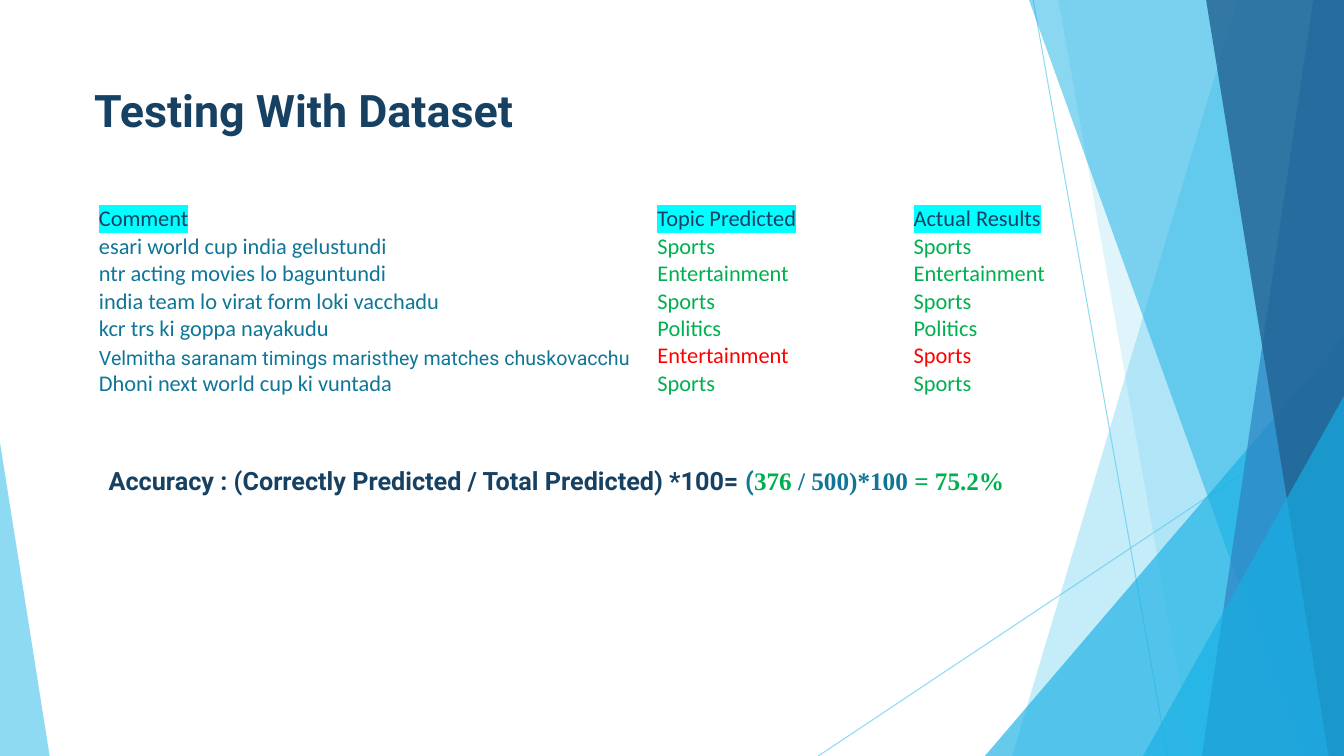
from dataclasses import dataclass

from lxml.etree import SubElement
from pptx import Presentation
from pptx.dml.color import RGBColor
from pptx.enum.shapes import MSO_CONNECTOR, MSO_SHAPE
from pptx.enum.text import MSO_ANCHOR, PP_ALIGN
from pptx.oxml.ns import qn
from pptx.util import Pt


@dataclass(frozen=True)
class Theme:
    navy: str = "174162"
    teal: str = "0F7698"
    right: str = "00B050"
    wrong: str = "FF0000"
    highlight: str = "00FFFF"
    sky: str = "5FCBEF"
    cyan: str = "17B0E4"
    blue: str = "2E83C3"
    deep: str = "226292"
    heading_font: str = "Roboto"
    table_font: str = "Calibri"
    number_font: str = "Times New Roman"
    title_size: int = 32
    formula_size: int = 18
    table_size: int = 16
    long_comment_size: int = 14


@dataclass(frozen=True)
class Box:
    left: float
    top: float
    width: float
    height: float

    @property
    def right(self):
        return self.left + self.width

    @property
    def bottom(self):
        return self.top + self.height

    def lengths(self):
        return [Pt(n) for n in (self.left, self.top, self.width, self.height)]


THEME = Theme()
NO_GRID_STYLE = "{2D5ABB26-0587-4C30-8999-92F81FD0307C}"

HEADERS = ("Comment", "Topic Predicted", "Actual Results")
RESULTS = (
    ("esari world cup india gelustundi", "Sports", "Sports"),
    ("ntr acting movies lo baguntundi", "Entertainment", "Entertainment"),
    ("india team lo virat form loki vacchadu", "Sports", "Sports"),
    ("kcr trs ki goppa nayakudu", "Politics", "Politics"),
    ("Velmitha saranam timings maristhey matches chuskovacchu", "Entertainment", "Sports"),
    ("Dhoni next world cup ki vuntada", "Sports", "Sports"),
)
FORMULA = (
    ("Accuracy : (Correctly Predicted / Total Predicted) *100= ", THEME.heading_font, THEME.navy),
    ("(", THEME.heading_font, THEME.teal),
    ("376 ", THEME.number_font, THEME.right),
    ("/ 500)*100 ", THEME.number_font, THEME.teal),
    ("= 75.2%", THEME.number_font, THEME.right),
)


def style_font(font, name, color, size=None, bold=None):
    font.name = name
    font.color.rgb = RGBColor.from_string(color)
    if size:
        font.size = Pt(size)
    if bold is not None:
        font.bold = bold


def set_alpha(fill_owner, percent):
    color = next(fill_owner.iter(qn("a:srgbClr")))
    SubElement(color, qn("a:alpha")).set("val", str(percent * 1000))


def paint(shape, color, opacity):
    shape.shadow.inherit = False
    shape.fill.solid()
    shape.fill.fore_color.rgb = RGBColor.from_string(color)
    set_alpha(shape._element.spPr, opacity)
    shape.line.fill.background()


def add_hairline(slide, start, end):
    line = slide.shapes.add_connector(
        MSO_CONNECTOR.STRAIGHT, *[Pt(n) for n in start + end])
    line.line.color.rgb = RGBColor.from_string(THEME.sky)
    line.line.width = Pt(0.75)
    properties = line._element.spPr
    set_alpha(properties, 70)
    SubElement(properties, qn("a:effectLst"))


def add_panel(slide, box, top_inset, bottom_inset, color, opacity):
    """Full-height panel on the right edge with a slanted left side."""
    builder = slide.shapes.build_freeform(
        Pt(box.right - top_inset), Pt(box.top), scale=1.0)
    builder.add_line_segments([
        (Pt(box.right), Pt(box.top)),
        (Pt(box.right), Pt(box.bottom)),
        (Pt(box.right - bottom_inset), Pt(box.bottom)),
    ])
    paint(builder.convert_to_shape(), color, opacity)


def add_corner(slide, box, apex, color, opacity):
    corner = slide.shapes.add_shape(MSO_SHAPE.ISOSCELES_TRIANGLE, *box.lengths())
    corner.adjustments[0] = apex
    paint(corner, color, opacity)


def add_facets(slide, box):
    def right_corner(width, height):
        corner_box = Box(box.right - width, box.bottom - height, width, height)
        add_corner(slide, corner_box, 1, THEME.cyan, 66)

    add_hairline(slide, (box.right - 222, box.top), (box.right - 126, box.bottom))
    add_hairline(slide, (box.right, box.top + 290), (box.right - 375.5, box.bottom))
    add_panel(slide, box, 76, 237, THEME.sky, 36)
    add_panel(slide, box, 204, 108, THEME.sky, 20)
    right_corner(256.5, 300)
    add_panel(slide, box, 225, 30.5, THEME.cyan, 50)
    add_panel(slide, box, 22, 101.5, THEME.blue, 70)
    add_panel(slide, box, 98.5, 11, THEME.deep, 80)
    right_corner(143.5, 257)
    add_corner(slide, Box(box.left, box.bottom - 224, 35.5, 224), 0, THEME.sky, 70)


def add_title(slide, box):
    title = slide.shapes.title
    title.left, title.top, title.width, title.height = box.lengths()
    title.text_frame.vertical_anchor = MSO_ANCHOR.MIDDLE
    title.text_frame.text = "Testing With Dataset"
    para = title.text_frame.paragraphs[0]
    para.alignment = PP_ALIGN.LEFT
    style_font(para.font, THEME.heading_font, THEME.navy, THEME.title_size, True)


def fill_cell(cell, text, color, name=THEME.table_font, size=THEME.table_size):
    cell.fill.background()
    cell.vertical_anchor = MSO_ANCHOR.BOTTOM
    cell.margin_left = cell.margin_right = Pt(0.7)
    cell.margin_top = cell.margin_bottom = 0
    cell.text = text
    para = cell.text_frame.paragraphs[0]
    style_font(para.font, name, color, size)
    return para


def add_results(slide, box):
    table = slide.shapes.add_table(
        len(RESULTS) + 1, len(HEADERS), *box.lengths()).table
    table.first_row = table.horz_banding = False
    table._tbl.tblPr.find(qn("a:tableStyleId")).text = NO_GRID_STYLE
    for column, width in zip(table.columns, (399, 183, box.width - 399 - 183)):
        column.width = Pt(width)

    # Highlighted header
    for column, header in enumerate(HEADERS):
        para = fill_cell(table.cell(0, column), header, THEME.navy)
        properties = para.runs[0].font._element
        mark = SubElement(properties, qn("a:highlight"))
        SubElement(mark, qn("a:srgbClr")).set("val", THEME.highlight)

    # Green for a match, red for a miss
    for row, (comment, predicted, actual) in enumerate(RESULTS, start=1):
        matched = predicted == actual
        if matched:
            fill_cell(table.cell(row, 0), comment, THEME.teal)
        else:
            fill_cell(table.cell(row, 0), comment, THEME.teal,
                      THEME.heading_font, THEME.long_comment_size)
        for column, topic in enumerate((predicted, actual), start=1):
            fill_cell(table.cell(row, column), topic,
                      THEME.right if matched else THEME.wrong)


def add_formula(slide, box):
    frame = slide.shapes.add_textbox(*box.lengths()).text_frame
    frame.word_wrap = True
    para = frame.paragraphs[0]
    para.font.size = Pt(THEME.formula_size)
    para.font.bold = True
    for text, name, color in FORMULA:
        span = para.add_run()
        span.text = text
        style_font(span.font, name, color)


def main():
    deck = Presentation()
    page = Box(0, 0, 960, 540)
    deck.slide_width, deck.slide_height = Pt(page.width), Pt(page.height)
    slide = deck.slides.add_slide(deck.slide_layouts[5])
    add_facets(slide, page)
    add_title(slide, Box(60, 55.5, 480, 46))
    add_results(slide, Box(70, 146.6, 700, 137.5))
    add_formula(slide, Box(70.5, 329, 694, 29))
    deck.save("out.pptx")


if __name__ == "__main__":
    main()
